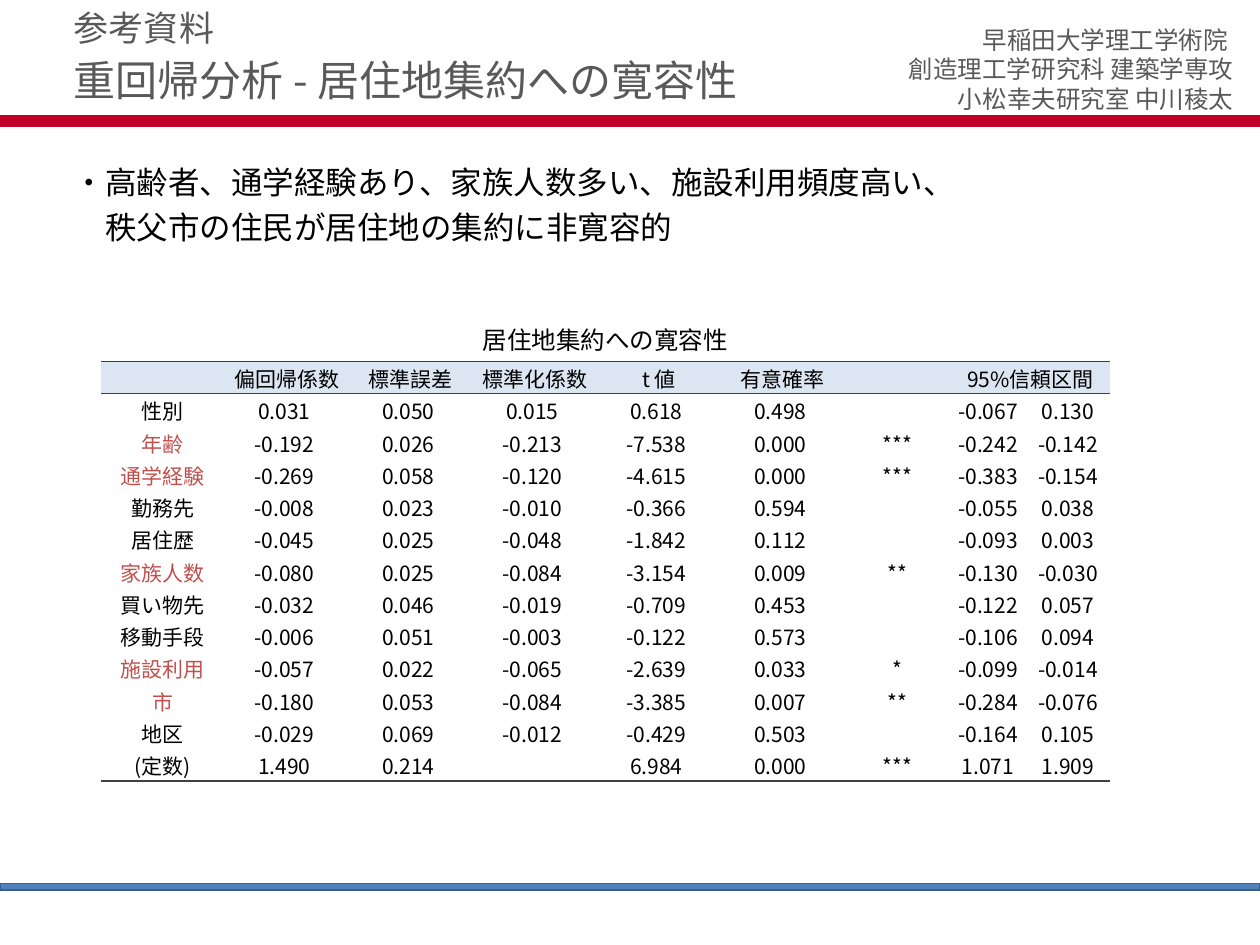
from dataclasses import dataclass, field

from lxml.etree import SubElement
from pptx import Presentation
from pptx.dml.color import RGBColor
from pptx.enum.shapes import MSO_SHAPE
from pptx.enum.text import MSO_ANCHOR, PP_ALIGN
from pptx.oxml.ns import qn
from pptx.util import Cm, Pt


@dataclass(frozen=True)
class Theme:
    font: str = "Noto Sans CJK JP"
    black: str = "000000"
    grey: str = "595959"
    significant: str = "C0504D"
    header_fill: str = "DCE6F2"
    rule: str = "404040"
    crimson: str = "C00029"
    blue: str = "4F81BD"
    blue_line: str = "3A5F8C"
    title_size: int = 24
    section_size: int = 20
    body_size: int = 18
    caption_size: int = 14
    table_size: int = 12


@dataclass(frozen=True)
class Bar:
    top: float
    height: float
    fill: str
    line: str


@dataclass(frozen=True)
class TextBlock:
    left: float
    top: float
    width: float
    height: float
    lines: tuple
    size: int
    color: str
    align: PP_ALIGN = PP_ALIGN.LEFT
    anchor: MSO_ANCHOR = MSO_ANCHOR.TOP
    line_spacing: float = 1.0
    space_before: float = 0


@dataclass(frozen=True)
class Variable:
    name: str
    estimates: tuple
    stars: str
    interval: tuple
    color: str = field(default="")

    def texts(self) -> list:
        numbers = [f"{value} " if value else "" for value in self.estimates]
        return [self.name, *numbers, self.stars, *(f"{value} " for value in self.interval)]


THEME = Theme()
PAGE_WIDTH, PAGE_HEIGHT = 25.4, 19.05
COLUMN_WIDTHS = [2.5] * 6 + [2.13, 1.61, 1.61]
ROW_HEIGHT = 0.65
HEADERS = ["", "偏回帰係数", "標準誤差", "標準化係数", "t 値", "有意確率", "", "95%信頼区間", ""]

BARS = [
    Bar(2.34, 0.2, THEME.crimson, THEME.crimson),
    Bar(17.81, 0.13, THEME.blue, THEME.blue_line),
]

BLOCKS = [
    TextBlock(15.29, 0.38, 9.83, 2.06,
              ("早稲田大学理工学術院 ", "創造理工学研究科 建築学専攻", "小松幸夫研究室 中川稜太"),
              THEME.caption_size, THEME.grey, PP_ALIGN.RIGHT),
    TextBlock(1.24, 1.02, 21.9, 1.32, ("重回帰分析 - 居住地集約への寛容性",),
              THEME.title_size, THEME.grey, anchor=MSO_ANCHOR.MIDDLE, line_spacing=0.9),
    TextBlock(1.24, 0, 16.13, 1.02, ("参考資料",), THEME.section_size, THEME.grey),
    TextBlock(5.84, 6.43, 12.73, 0.86, ("居住地集約への寛容性",),
              THEME.caption_size, THEME.black, PP_ALIGN.CENTER),
    TextBlock(1.24, 3.25, 22.83, 14.17,
              ("・高齢者、通学経験あり、家族人数多い、施設利用頻度高い、", "　秩父市の住民が居住地の集約に非寛容的"),
              THEME.body_size, THEME.black, line_spacing=0.9, space_before=6),
]

VARIABLES = [
    Variable("性別", ("0.031", "0.050", "0.015", "0.618", "0.498"), "", ("-0.067", "0.130")),
    Variable("年齢", ("-0.192", "0.026", "-0.213", "-7.538", "0.000"), "***", ("-0.242", "-0.142"), THEME.significant),
    Variable("通学経験", ("-0.269", "0.058", "-0.120", "-4.615", "0.000"), "***", ("-0.383", "-0.154"), THEME.significant),
    Variable("勤務先", ("-0.008", "0.023", "-0.010", "-0.366", "0.594"), "", ("-0.055", "0.038")),
    Variable("居住歴", ("-0.045", "0.025", "-0.048", "-1.842", "0.112"), "", ("-0.093", "0.003")),
    Variable("家族人数", ("-0.080", "0.025", "-0.084", "-3.154", "0.009"), "**", ("-0.130", "-0.030"), THEME.significant),
    Variable("買い物先", ("-0.032", "0.046", "-0.019", "-0.709", "0.453"), "", ("-0.122", "0.057")),
    Variable("移動手段", ("-0.006", "0.051", "-0.003", "-0.122", "0.573"), "", ("-0.106", "0.094")),
    Variable("施設利用", ("-0.057", "0.022", "-0.065", "-2.639", "0.033"), "*", ("-0.099", "-0.014"), THEME.significant),
    Variable("市", ("-0.180", "0.053", "-0.084", "-3.385", "0.007"), "**", ("-0.284", "-0.076"), THEME.significant),
    Variable("地区", ("-0.029", "0.069", "-0.012", "-0.429", "0.503"), "", ("-0.164", "0.105")),
    Variable("(定数)", ("1.490", "0.214", "", "6.984", "0.000"), "***", ("1.071", "1.909")),
]


def add_span(para, text: str, size: int, color: str) -> None:
    span = para.add_run()
    span.text = text
    span.font.size = Pt(size)
    span.font.name = THEME.font
    span.font.color.rgb = RGBColor.from_string(color)
    SubElement(span.font._element, qn("a:ea"), typeface=THEME.font)


def draw_bar(page, bar: Bar) -> None:
    box = page.shapes.add_shape(MSO_SHAPE.RECTANGLE, 0, Cm(bar.top), Cm(PAGE_WIDTH), Cm(bar.height))
    box.shadow.inherit = False
    box.fill.solid()
    box.fill.fore_color.rgb = RGBColor.from_string(bar.fill)
    box.line.color.rgb = RGBColor.from_string(bar.line)
    box.line.width = Pt(1)


def draw_block(page, block: TextBlock) -> None:
    box = page.shapes.add_textbox(Cm(block.left), Cm(block.top), Cm(block.width), Cm(block.height))
    frame = box.text_frame
    frame.word_wrap = True
    frame.vertical_anchor = block.anchor
    for index, line in enumerate(block.lines):
        para = frame.add_paragraph() if index else frame.paragraphs[0]
        para.alignment = block.align
        para.line_spacing = block.line_spacing
        para.space_before = Pt(block.space_before)
        add_span(para, line, block.size, block.color)


def set_borders(cell, widths: dict) -> None:
    properties = cell._tc.get_or_add_tcPr()
    for position, side in enumerate(("lnL", "lnR", "lnT", "lnB")):
        width = widths.get(side, 0)
        border = properties.makeelement(qn(f"a:{side}"), {"w": str(Pt(width))})
        properties.insert(position, border)
        if width:
            paint = SubElement(border, qn("a:solidFill"))
            SubElement(paint, qn("a:srgbClr"), val=THEME.rule)
        else:
            SubElement(border, qn("a:noFill"))


def fill_cell(cell, text: str, color: str, header: bool, borders: dict) -> None:
    cell.margin_left = cell.margin_right = cell.margin_top = Cm(0.03)
    cell.margin_bottom = 0
    cell.vertical_anchor = MSO_ANCHOR.MIDDLE
    if header:
        cell.fill.solid()
        cell.fill.fore_color.rgb = RGBColor.from_string(THEME.header_fill)
    else:
        cell.fill.background()
    set_borders(cell, borders)
    para = cell.text_frame.paragraphs[0]
    para.alignment = PP_ALIGN.CENTER
    if text:
        add_span(para, text, THEME.table_size, color)
    else:
        SubElement(para._p, qn("a:endParaRPr"), sz=str(THEME.table_size * 100))


def draw_table(page, variables: list) -> None:
    rows = [HEADERS] + [variable.texts() for variable in variables]
    frame = page.shapes.add_table(len(rows), len(HEADERS), Cm(2.03), Cm(7.29),
                                  Cm(sum(COLUMN_WIDTHS)), Cm(ROW_HEIGHT * len(rows)))
    table = frame.table
    table.horz_banding = table.first_row = False
    for column, width in zip(table.columns, COLUMN_WIDTHS):
        column.width = Cm(width)
    edges = {0: {"lnT": 1, "lnB": 0.5}, 1: {"lnT": 0.5}, len(rows) - 1: {"lnB": 1}}
    for row_index, texts in enumerate(rows):
        table.rows[row_index].height = Cm(ROW_HEIGHT)
        name_color = variables[row_index - 1].color if row_index else ""
        for column_index, text in enumerate(texts):
            color = name_color if name_color and column_index == 0 else THEME.black
            fill_cell(table.cell(row_index, column_index), text, color,
                      row_index == 0, edges.get(row_index, {}))
    table.cell(0, 7).merge(table.cell(0, 8))


def main() -> None:
    """Build the regression results slide."""
    deck = Presentation()
    deck.slide_width, deck.slide_height = Cm(PAGE_WIDTH), Cm(PAGE_HEIGHT)
    page = deck.slides.add_slide(deck.slide_layouts[6])
    for bar in BARS:
        draw_bar(page, bar)
    draw_table(page, VARIABLES)
    for block in BLOCKS:
        draw_block(page, block)
    deck.save("out.pptx")


if __name__ == "__main__":
    main()
